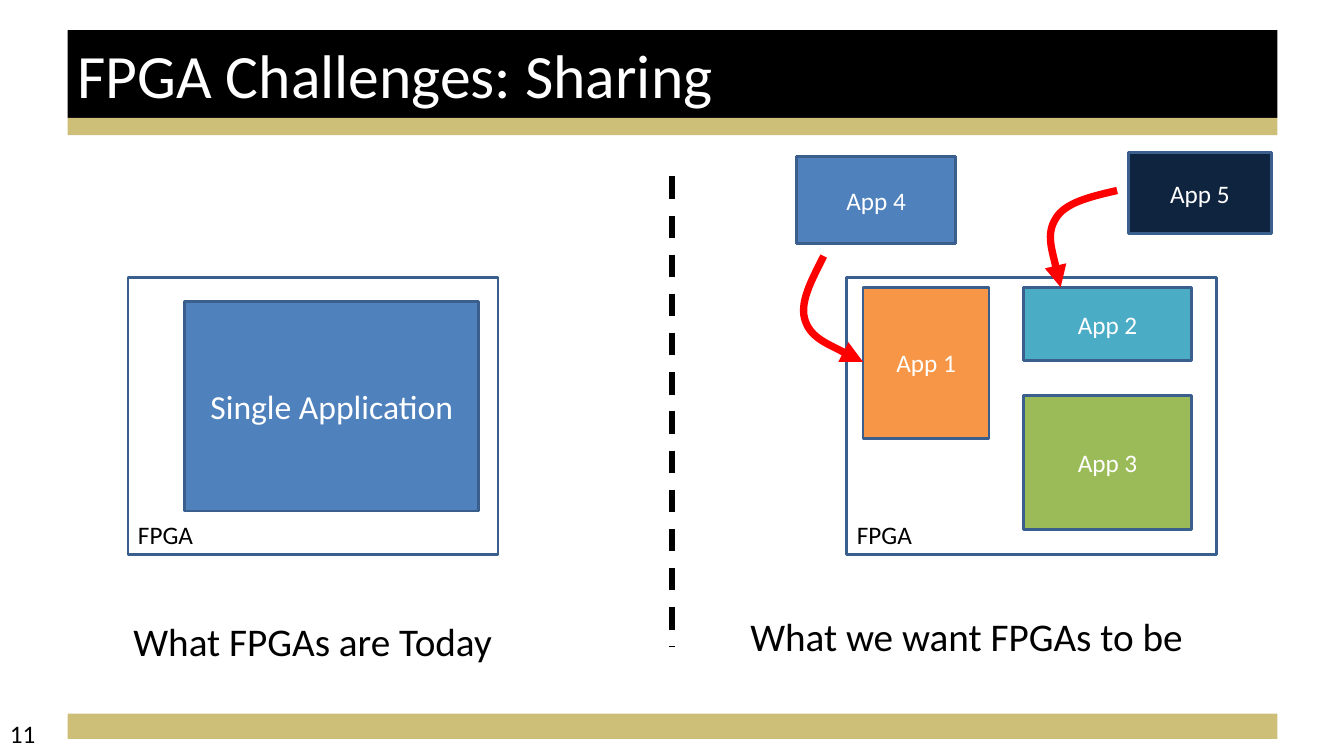
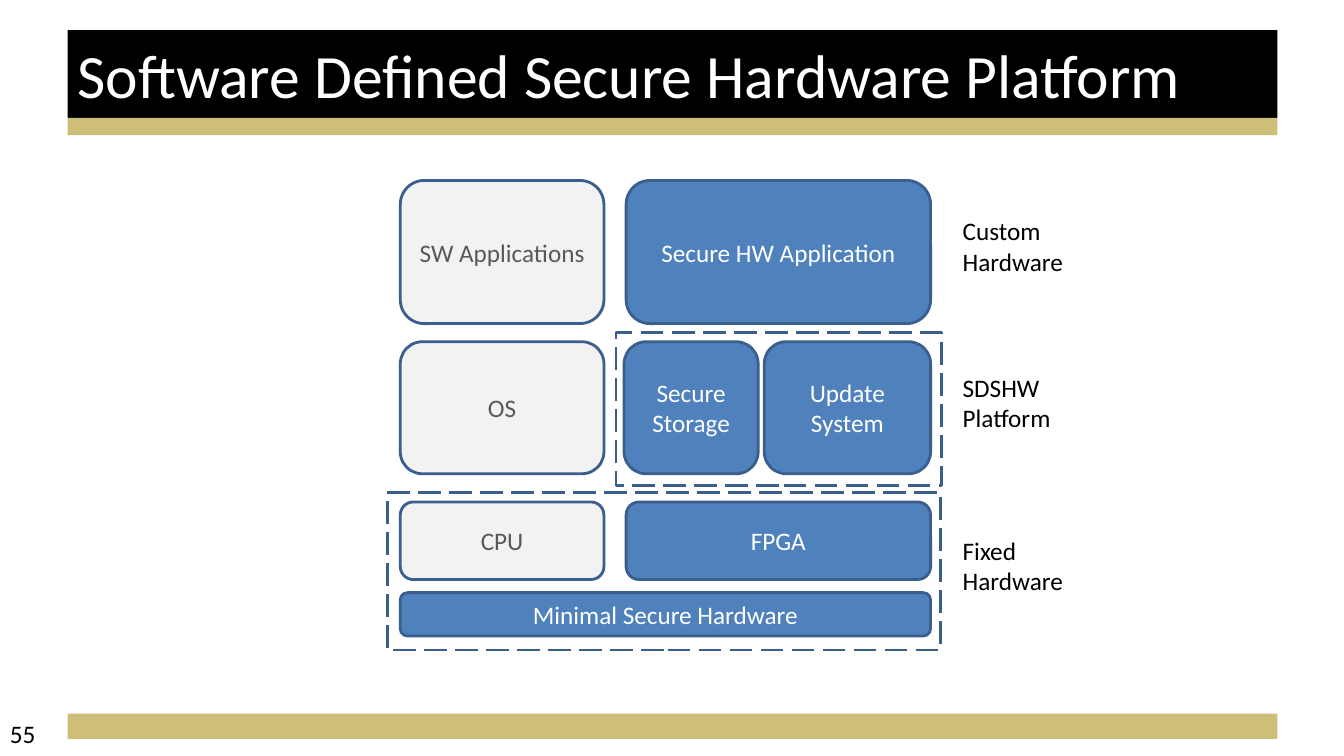
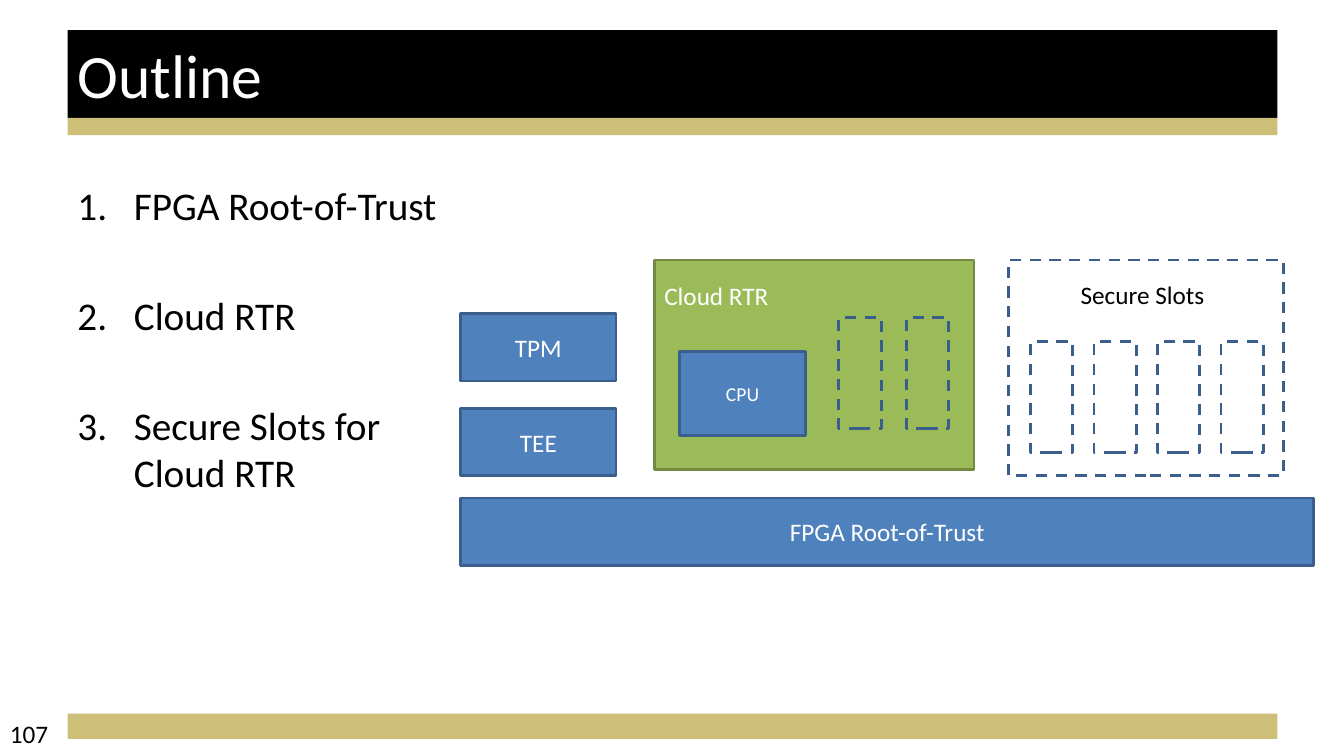
from lxml import etree
from pptx import Presentation, util as u
from pptx.dml.color import RGBColor
from pptx.enum import dml, shapes, text
from pptx.oxml.ns import qn

WIDE, HIGH = 13.33, 7.5
FONT = "Calibri"
BLACK, WHITE, RED = "000000", "FFFFFF", "FF0000"
GOLD, BLUE, EDGE = "CDBF78", "4F81BD", "3A5F8C"
GREEN, MOSS, ORANGE, TEAL, NAVY = "9BBB59", "738A42", "F79646", "4BACC6", "0F243E"
PALE, GREY = "F2F2F2", "595959"

RECT, ROUND = shapes.MSO_SHAPE.RECTANGLE, shapes.MSO_SHAPE.ROUNDED_RECTANGLE
DASH, LONG = dml.MSO_LINE.DASH, dml.MSO_LINE.LONG_DASH
LEFT, MID = text.PP_ALIGN.LEFT, text.PP_ALIGN.CENTER

# Shared frame
EDGE_X, BAND_W = 0.67, 12
TITLE = (EDGE_X, 0.3, BAND_W, 0.87)
BANDS = [((EDGE_X, 7.08, BAND_W, 0.25), GOLD),
         (TITLE, BLACK),
         ((EDGE_X, 1.17, BAND_W, 0.17), GOLD)]

# Sharing: box position, words, fill
CHIP_Y, CHIP_W, CHIP_H = 2.75, 3.67, 2.75
CHIPS = [1.27, 8.4]
SINGLE = (1.83, 2.99, 2.92, 2.08)
APPS = [((8.56, 2.85, 1.25, 1.5), ORANGE),
        ((10.15, 2.85, 1.67, 0.73), TEAL),
        ((10.15, 3.92, 1.67, 1.33), GREEN),
        ((7.9, 1.55, 1.58, 0.87), BLUE),
        ((11.19, 1.51, 1.42, 0.81), NAVY)]
CURVES = [[(11.08, 1.89), (10.82, 1.95), (10.56, 2.01), (10.47, 2.17),
           (10.37, 2.33), (10.52, 2.85), (10.52, 2.85)],
          [(8.17, 2.54), (8.05, 2.78), (7.92, 3.01), (7.99, 3.19),
           (8.05, 3.36), (8.56, 3.59), (8.56, 3.59)]]
CAPTIONS = [((1.08, 6.08, 4.04, 0.57), "What FPGAs are Today"),
            ((7.21, 6.03, 4.75, 0.57), "What we want FPGAs to be")]

# Platform: columns (left, width) and rows (top, height)
SOFT, HARD = (3.97, 2.02), (6.21, 3.02)
STORE, UPDATE, FULL = (6.19, 1.33), (7.58, 1.65), (3.97, 5.26)
TOP, CORE, CHIP, BASE = (1.79, 1.42), (3.39, 1.31), (4.98, 0.77), (5.88, 0.43)
TILES = [(SOFT, TOP, "SW Applications"), (HARD, TOP, "Secure HW Application"),
         (SOFT, CORE, "OS"), (STORE, CORE, "Secure Storage"),
         (UPDATE, CORE, "Update System"),
         (SOFT, CHIP, "CPU"), (HARD, CHIP, "FPGA"),
         (FULL, BASE, "Minimal Secure Hardware")]
FRAMES = [(3.84, 4.89, 5.49, 1.56), (6.11, 3.3, 3.23, 1.52)]
LAYERS = [(2.09, "Custom\nHardware"), (3.64, "SDSHW\nPlatform"),
          (5.26, "Fixed\nHardware")]

# Outline
TOPICS = ["FPGA Root-of-Trust", "Cloud RTR", "Secure Slots for Cloud RTR"]
TRUST = [((4.57, 3.11, 1.54, 0.67), "TPM"),
         ((4.57, 4.05, 1.54, 0.67), "TEE"),
         ((4.57, 4.94, 8.46, 0.67), "FPGA Root-of-Trust")]
CLOUD, CPU = (6.49, 2.58, 3.17, 2.08), (6.74, 3.49, 1.25, 0.83)
SECURE = (10, 2.58, 2.73, 2.14)
SLOT_W, SLOT_H = 0.42, 1.1
SLOTS = [(8.32, 3.15, 0.67, 2), (10.22, 3.39, 0.63, 4)]  # left, top, step, count


def color(hexa):
    return RGBColor.from_string(hexa)


def inches(nums):
    return [u.Inches(n) for n in nums]


def write(shape, words, size, ink, align, anchor):
    frame = shape.text_frame
    frame.word_wrap = True
    frame.vertical_anchor = anchor
    frame.text = words
    for para in frame.paragraphs:
        para.alignment = align
        for run in para.runs:
            run.font.size, run.font.name = u.Pt(size), FONT
            run.font.color.rgb = color(ink)


def box(slide, at, words="", fill=None, edge=EDGE, dash=None, kind=RECT,
        size=18, ink=WHITE):
    shape = slide.shapes.add_shape(kind, *inches(at))
    shape.shadow.inherit = False
    if fill:
        shape.fill.solid()
        shape.fill.fore_color.rgb = color(fill)
    else:
        shape.fill.background()
    if edge:
        shape.line.color.rgb = color(edge)
        shape.line.width = u.Pt(2)
        if dash:
            shape.line.dash_style = dash
    else:
        shape.line.fill.background()
    if words:
        write(shape, words, size, ink, MID, text.MSO_ANCHOR.MIDDLE)
    return shape


def label(slide, at, words, size=18, ink=BLACK, align=LEFT,
          anchor=text.MSO_ANCHOR.TOP):
    shape = slide.shapes.add_textbox(*inches(at))
    write(shape, words, size, ink, align, anchor)
    return shape


def arrow(slide, points):
    """Draw a red Bezier arrow; after the start, points come in threes."""
    first, *rest = [tuple(inches(p)) for p in points]
    pen = slide.shapes.build_freeform(*first)
    pen.add_line_segments(rest, close=False)
    shape = pen.convert_to_shape()
    shape.shadow.inherit = False
    shape.fill.background()
    shape.line.color.rgb = color(RED)
    shape.line.width = u.Pt(5.25)
    lines = list(shape.element.iter(qn("a:lnTo")))
    trail = lines[0].getparent()
    for i in range(0, len(lines), 3):
        curve = etree.SubElement(trail, qn("a:cubicBezTo"))
        for line in lines[i:i + 3]:
            curve.append(line[0])
            trail.remove(line)
    etree.SubElement(shape.line._get_or_add_ln(), qn("a:tailEnd"), type="triangle")


def divide(slide, x, top, end):
    line = slide.shapes.add_connector(shapes.MSO_CONNECTOR.STRAIGHT,
                                      *inches((x, top, x, end)))
    line.line.color.rgb = color(BLACK)
    line.line.width = u.Pt(4)
    line.line.dash_style = DASH
    etree.SubElement(line.element.spPr, qn("a:effectLst"))


def start(deck, title, number):
    slide = deck.slides.add_slide(deck.slide_layouts[6])
    for at, fill in BANDS:
        box(slide, at, fill=fill, edge=None)
    label(slide, (0, 7.08, 3.1, 0.4), number)
    label(slide, TITLE, title, 44, WHITE, anchor=text.MSO_ANCHOR.MIDDLE)
    return slide


def sharing(deck):
    slide = start(deck, "FPGA Challenges: Sharing", "11")
    for x in CHIPS:
        box(slide, (x, CHIP_Y, CHIP_W, CHIP_H))
        label(slide, (x, 5.1, 0.92, 0.4), "FPGA")
    box(slide, SINGLE, "Single Application", BLUE, size=24)
    divide(slide, WIDE / 2, 1.75, 6.42)
    for num, (at, fill) in enumerate(APPS, 1):
        box(slide, at, f"App {num}", fill)
    for points in CURVES:
        arrow(slide, points)
    for at, words in CAPTIONS:
        label(slide, at, words, 28, align=MID)


def platform(deck):
    slide = start(deck, "Software Defined Secure Hardware Platform", "55")
    for at in FRAMES:
        box(slide, at, dash=LONG)
    for (x, w), (y, h), words in TILES:
        fill, ink = (PALE, GREY) if (x, w) == SOFT else (BLUE, WHITE)
        box(slide, (x, y, w, h), words, fill, kind=ROUND, ink=ink)
    for y, words in LAYERS:
        label(slide, (9.45, y, 1.37, 0.82), words)


def outline(deck):
    slide = start(deck, "Outline", "107")
    topics = label(slide, (EDGE_X, 1.75, 3.92, 4.95), "\n".join(TOPICS), 28)
    for i, para in enumerate(topics.text_frame.paragraphs):
        props = para._p.get_or_add_pPr()
        props.set("marL", str(u.Inches(0.56)))
        props.set("indent", str(u.Inches(-0.56)))
        etree.SubElement(props, qn("a:buAutoNum"), type="arabicPeriod")
        if i:
            para.space_before = u.Pt(45)
    for at, words in TRUST:
        box(slide, at, words, BLUE)
    box(slide, CLOUD, fill=GREEN, edge=MOSS)
    label(slide, (6.49, 2.73, 1.42, 0.4), "Cloud RTR", ink=WHITE)
    box(slide, CPU, "CPU", BLUE, size=14)
    box(slide, SECURE, dash=DASH)
    label(slide, (10.62, 2.72, 1.5, 0.4), "Secure Slots")
    for left, top, step, count in SLOTS:
        for i in range(count):
            box(slide, (left + i * step, top, SLOT_W, SLOT_H), dash=DASH)


def main():
    deck = Presentation()
    deck.slide_width, deck.slide_height = inches((WIDE, HIGH))
    for build in (sharing, platform, outline):
        build(deck)
    deck.save("out.pptx")


if __name__ == "__main__":
    main()
